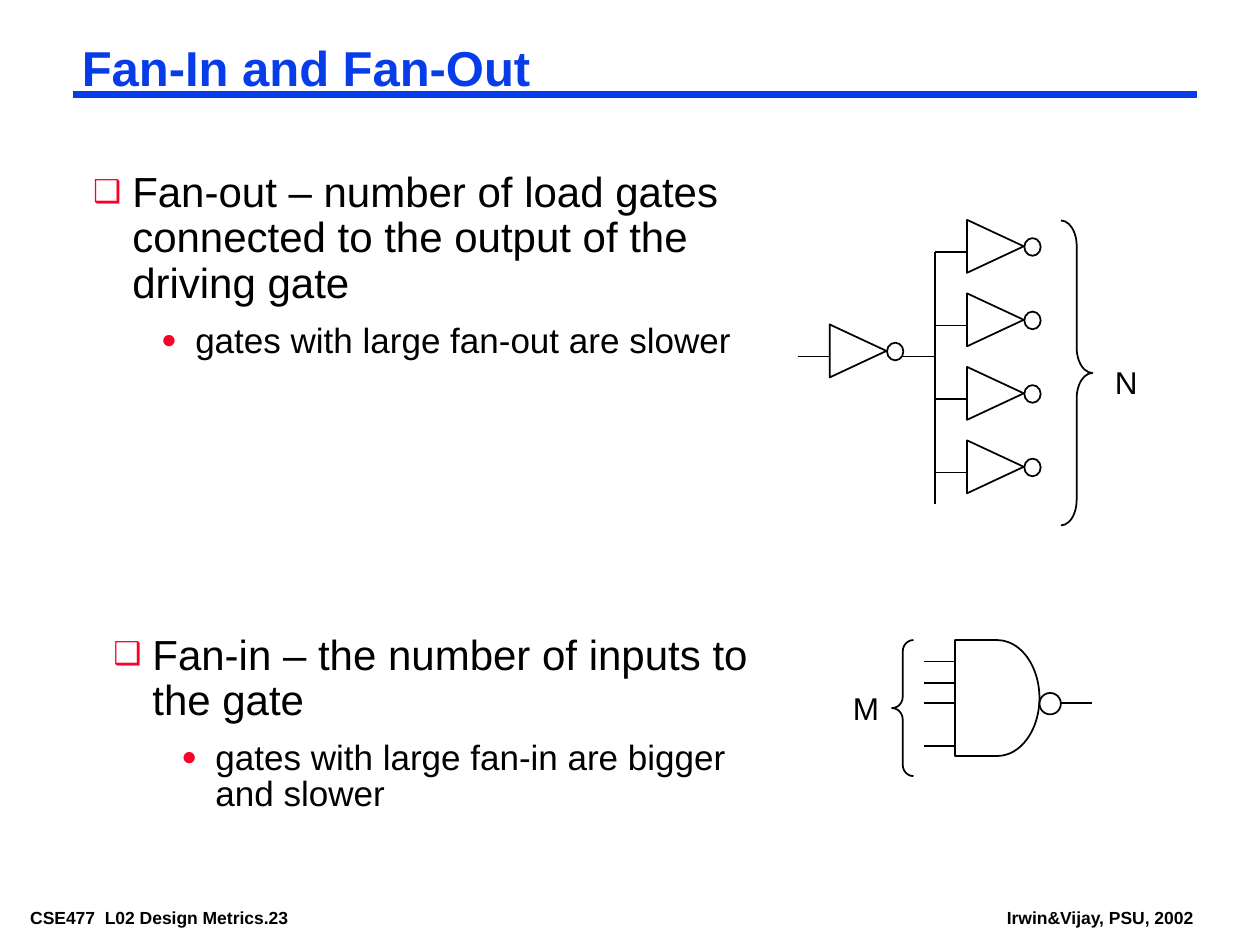
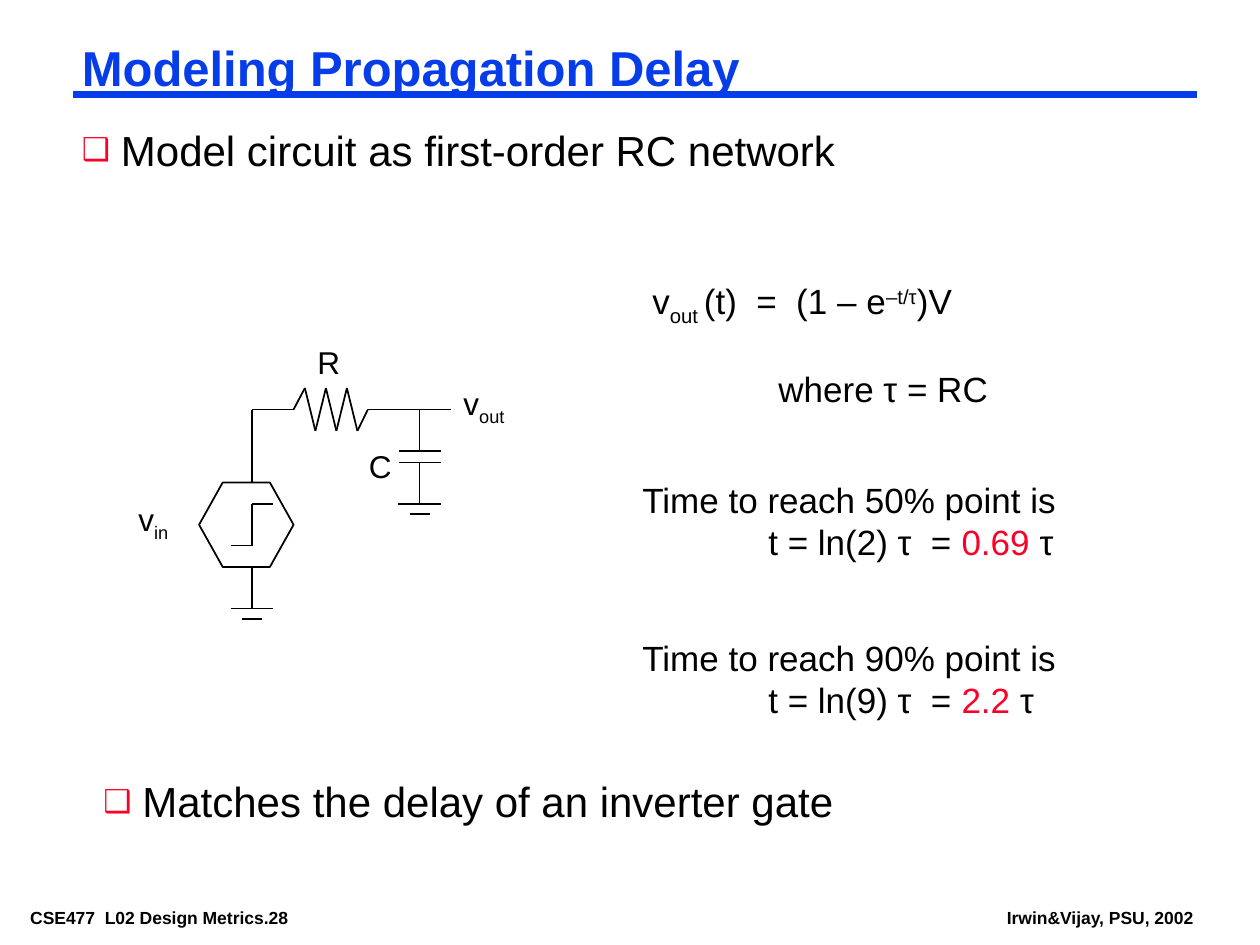
"""Build two lecture slides on fan-in, fan-out and propagation delay."""
from itertools import pairwise

from lxml import etree
from pptx import Presentation
from pptx.dml.color import RGBColor
from pptx.enum.shapes import MSO_CONNECTOR, MSO_SHAPE
from pptx.enum.text import MSO_ANCHOR, MSO_AUTO_SIZE, PP_ALIGN
from pptx.oxml.ns import qn
from pptx.util import Inches, Pt

BLUE = RGBColor(0x06, 0x3D, 0xE8)
RED = RGBColor(0xFC, 0x01, 0x28)
BLACK = RGBColor(0, 0, 0)
FONT = "Arial"
STRAIGHT = MSO_CONNECTOR.STRAIGHT
TRIANGLE = MSO_SHAPE.ISOSCELES_TRIANGLE
OVAL = MSO_SHAPE.OVAL
HEXAGON = MSO_SHAPE.HEXAGON
AND_BODY = MSO_SHAPE.FLOWCHART_DELAY
LEFT_BRACE = MSO_SHAPE.LEFT_BRACE
RIGHT_BRACE = MSO_SHAPE.RIGHT_BRACE
LEFT, RIGHT = PP_ALIGN.LEFT, PP_ALIGN.RIGHT
TOP = MSO_ANCHOR.TOP
NO_AUTOFIT = MSO_AUTO_SIZE.NONE

NARROW_MARGINS = (0.07, 0.03)
WIDE_MARGINS = (0.1, 0.05)
SUBSCRIPT, SUPERSCRIPT = -25000, 30000
BULLETS = (
    {"mark": "❑", "indent": 0.31, "hang": 0.31, "spacing": 0.9, "before": 19.5, "size": 24},
    {"mark": "●", "indent": 0.81, "hang": 0.27, "spacing": 0.85, "before": 10, "size": 20},
)


def style_font(font, size, color=BLACK, bold=False):
    """Apply the deck's typeface with a size and colour."""
    font.name = FONT
    font.size = Pt(size)
    font.bold = bold
    font.color.rgb = color


def prepare_frame(text_frame, margins):
    """Wrap the text and set its margins."""
    text_frame.word_wrap = True
    text_frame.auto_size = NO_AUTOFIT
    text_frame.vertical_anchor = TOP
    text_frame.margin_left = text_frame.margin_right = Inches(margins[0])
    text_frame.margin_top = text_frame.margin_bottom = Inches(margins[1])


def add_text_frame(slide, left, top, width, height, margins=WIDE_MARGINS):
    """Add a text box and return its text frame."""
    box = slide.shapes.add_textbox(Inches(left), Inches(top), Inches(width), Inches(height))
    prepare_frame(box.text_frame, margins)
    return box.text_frame


def next_paragraph(text_frame, index):
    """Return the first paragraph, or append a further one."""
    return text_frame.add_paragraph() if index else text_frame.paragraphs[0]


def add_run(paragraph, text, size, color=BLACK, baseline=0):
    """Append a run, optionally raised or lowered."""
    run = paragraph.add_run()
    run.text = text
    style_font(run.font, size, color)
    if baseline:
        run.font._element.set("baseline", str(baseline))


def set_indent(paragraph, indent, hang=0):
    """Indent a paragraph and let its first line hang."""
    properties = paragraph._p.get_or_add_pPr()
    properties.set("marL", str(Inches(indent)))
    properties.set("indent", str(-Inches(hang)))
    return properties


def add_bullets(slide, left, top, width, height, items):
    """Add a list of (level, text) items with red bullets."""
    text_frame = add_text_frame(slide, left, top, width, height, NARROW_MARGINS)
    for index, (level, text) in enumerate(items):
        look = BULLETS[level]
        paragraph = next_paragraph(text_frame, index)
        paragraph.text = text
        paragraph.level = level
        paragraph.line_spacing = look["spacing"]
        if index:
            paragraph.space_before = Pt(look["before"])
        properties = set_indent(paragraph, look["indent"], look["hang"])
        color = etree.SubElement(properties, qn("a:buClr"))
        etree.SubElement(color, qn("a:srgbClr")).set("val", str(RED))
        etree.SubElement(properties, qn("a:buSzPct")).set("val", "75000")
        etree.SubElement(properties, qn("a:buFont")).set("typeface", FONT)
        etree.SubElement(properties, qn("a:buChar")).set("char", look["mark"])
        style_font(paragraph.runs[0].font, look["size"])


def add_label(slide, left, top, width, text, subscript=""):
    """Add a circuit label with an optional subscript."""
    paragraph = add_text_frame(slide, left, top, width, 0.4).paragraphs[0]
    add_run(paragraph, text, 18)
    if subscript:
        add_run(paragraph, subscript, 18, baseline=SUBSCRIPT)


def add_wire(slide, *points, color=BLACK, weight=1):
    """Join the points with straight lines."""
    for start, end in pairwise(points):
        line = slide.shapes.add_connector(STRAIGHT, *map(Inches, start + end))
        line.line.color.rgb = color
        line.line.width = Pt(weight)
        etree.SubElement(line._element.spPr, qn("a:effectLst"))


def add_outline(slide, kind, left, top, width, height):
    """Add an unfilled shape with a thin black outline."""
    shape = slide.shapes.add_shape(kind, Inches(left), Inches(top), Inches(width), Inches(height))
    shape.shadow.inherit = False
    shape.fill.background()
    shape.line.color.rgb = BLACK
    shape.line.width = Pt(1)
    return shape


def add_brace(slide, kind, left, top, width, height):
    """Add a brace whose curls are a twelfth of its height."""
    brace = add_outline(slide, kind, left, top, width, height)
    brace.adjustments[0] = height / width / 12


def add_inverter(slide, left, wire_y):
    """Add an inverter with its input wire."""
    add_wire(slide, (left - 0.25, wire_y), (left, wire_y))
    triangle = add_outline(slide, TRIANGLE, left + 0.02, wire_y - 0.27, 0.42, 0.45)
    triangle.rotation = 90
    add_outline(slide, OVAL, left + 0.46, wire_y - 0.11, 0.13, 0.14)


def add_ground(slide, x, top):
    """Add a lead that ends in a ground symbol."""
    end = top + 0.33
    add_wire(slide, (x, top), (x, end))
    add_wire(slide, (x - 0.17, end), (x + 0.17, end))
    add_wire(slide, (x - 0.08, end + 0.08), (x + 0.08, end + 0.08))


def add_footer(slide, left, width, text, alignment):
    """Add one bold footer text."""
    paragraph = add_text_frame(slide, left, 7.17, width, 0.22, NARROW_MARGINS).paragraphs[0]
    paragraph.text = text
    paragraph.alignment = alignment
    style_font(paragraph.runs[0].font, 10, bold=True)


def add_lecture_slide(presentation, title_text, number):
    """Add a slide with the shared title, rule and footers."""
    slide = presentation.slides.add_slide(presentation.slide_layouts[5])
    title = slide.shapes.title
    title.left, title.top, title.width, title.height = map(Inches, (0.58, 0.33, 8.92, 0.46))
    prepare_frame(title.text_frame, NARROW_MARGINS)
    title.text_frame.text = title_text
    paragraph = title.text_frame.paragraphs[0]
    paragraph.alignment = LEFT
    paragraph.line_spacing = 0.87
    style_font(paragraph.runs[0].font, 28, BLUE, bold=True)
    add_wire(slide, (0.58, 0.75), (9.5, 0.75), color=BLUE, weight=4.5)
    add_footer(slide, 0.17, 2.7, f"CSE477  L02 Design Metrics.{number}", LEFT)
    add_footer(slide, 7.54, 2, "Irwin&Vijay, PSU, 2002", RIGHT)
    return slide


def draw_fan_out(slide):
    """Draw one inverter that drives N others."""
    bus_x = 7.42
    add_inverter(slide, 6.58, 2.83)
    add_wire(slide, (7.17, 2.83), (bus_x, 2.83))
    add_wire(slide, (bus_x, 2), (bus_x, 4))
    for load in range(4):
        add_inverter(slide, bus_x + 0.25, 2 + load * 7 / 12)
    add_brace(slide, RIGHT_BRACE, 8.42, 1.75, 0.25, 2.42)
    add_label(slide, 8.75, 2.83, 0.42, "N")


def draw_fan_in(slide):
    """Draw a NAND gate with M inputs."""
    add_outline(slide, AND_BODY, 7.58, 5.08, 0.67, 0.92)
    add_outline(slide, OVAL, 8.25, 5.5, 0.17, 0.17)
    for y in (5.25, 5.42, 5.58, 5.92):
        add_wire(slide, (7.33, y), (7.58, y))
    add_wire(slide, (8.42, 5.58), (8.67, 5.58))
    add_brace(slide, LEFT_BRACE, 7.08, 5.08, 0.17, 1.08)
    add_label(slide, 6.67, 5.42, 0.42, "M")


def draw_rc_network(slide):
    """Draw a step source that feeds a resistor and a capacitor."""
    source_x, capacitor_x, wire_y = 2, 3.33, 3.25
    source = add_outline(slide, HEXAGON, 1.58, 3.83, 0.75, 0.67)
    source.adjustments[0] = 0.28
    add_wire(slide, (1.83, 4.33), (source_x, 4.33), (source_x, 4), (2.17, 4))
    add_ground(slide, source_x, 4.5)
    zigzag = [(2.42 + step / 12, 3.42 if step % 2 else 3.08) for step in range(6)]
    add_wire(slide, (source_x, 3.83), (source_x, wire_y), (2.33, wire_y),
             *zigzag, (2.92, wire_y), (3.58, wire_y))
    add_wire(slide, (capacitor_x, wire_y), (capacitor_x, 3.58))
    for plate_y in (3.58, 3.67):
        add_wire(slide, (capacitor_x - 0.16, plate_y), (capacitor_x + 0.17, plate_y))
    add_ground(slide, capacitor_x, 3.67)
    add_label(slide, 2.42, 2.67, 0.42, "R")
    add_label(slide, 2.83, 3.5, 0.42, "C")
    add_label(slide, 1, 3.92, 0.67, "v", "in")
    add_label(slide, 3.58, 3, 0.67, "v", "out")


def add_formula(slide, left, top, height, first_runs, second_runs, gap=0):
    """Add a line of runs with an indented line of runs below."""
    text_frame = add_text_frame(slide, left, top, 4.33, height)
    for index, runs in enumerate((first_runs, second_runs)):
        paragraph = next_paragraph(text_frame, index)
        if index:
            set_indent(paragraph, 1)
            paragraph.space_before = Pt(gap)
        for text, color, baseline in runs:
            add_run(paragraph, text, 20, color, baseline)


def add_delay_time(slide, top, percent, argument, factor):
    """State the time needed to reach a share of the final voltage."""
    add_formula(
        slide, 5, top, 0.77,
        [(f"Time to reach {percent}% point is", BLACK, 0)],
        [(f"t = ln({argument}) τ  = ", BLACK, 0), (f"{factor} ", RED, 0), ("τ", BLACK, 0)],
    )


def build_fan_slide(presentation):
    """Build the slide on fan-in and fan-out."""
    slide = add_lecture_slide(presentation, "Fan-In and Fan-Out", 23)
    add_bullets(slide, 0.67, 1.33, 5.33, 1.56, [
        (0, "Fan-out – number of load gates connected to the output of the driving gate"),
        (1, "gates with large fan-out are slower"),
    ])
    draw_fan_out(slide)
    add_bullets(slide, 0.83, 5, 5.33, 1.48, [
        (0, "Fan-in – the number of inputs to the gate"),
        (1, "gates with large fan-in are bigger and slower"),
    ])
    draw_fan_in(slide)


def build_delay_slide(presentation):
    """Build the slide on propagation delay."""
    slide = add_lecture_slide(presentation, "Modeling Propagation Delay", 28)
    add_bullets(slide, 0.58, 1, 8.92, 0.42, [(0, "Model circuit as first-order RC network")])
    draw_rc_network(slide)
    add_formula(
        slide, 5.08, 2.17, 1.15,
        [("v", BLACK, 0), ("out ", BLACK, SUBSCRIPT), ("(t)  =  (1 – e", BLACK, 0),
         ("–t/τ", BLACK, SUPERSCRIPT), (")V", BLACK, 0)],
        [("where τ = RC", BLACK, 0)],
        gap=23,
    )
    add_delay_time(slide, 3.75, 50, 2, "0.69")
    add_delay_time(slide, 5, 90, 9, "2.2")
    add_bullets(slide, 0.75, 6.17, 8.92, 0.42, [(0, "Matches the delay of an inverter gate")])


def main():
    """Build and save the presentation."""
    presentation = Presentation()
    presentation.slide_width = Inches(10)
    presentation.slide_height = Inches(7.5)
    build_fan_slide(presentation)
    build_delay_slide(presentation)
    presentation.save("out.pptx")


if __name__ == "__main__":
    main()
